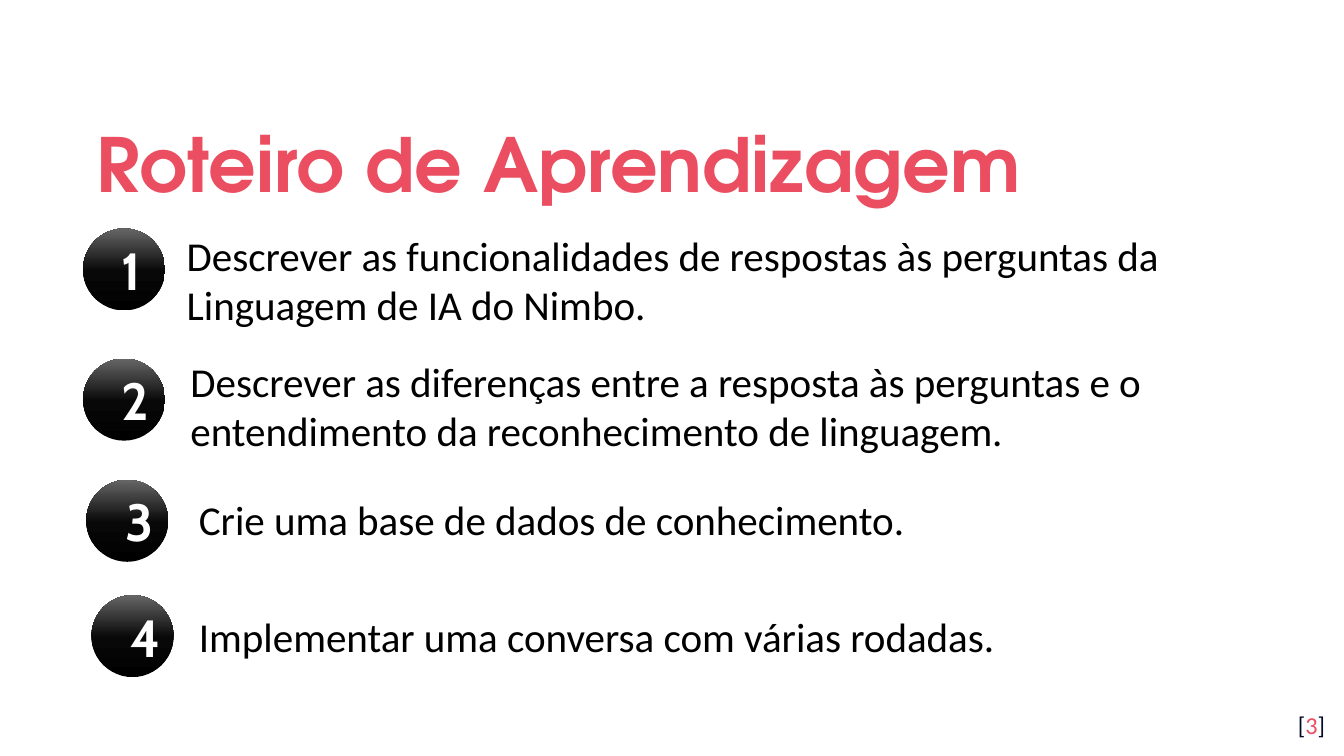
from copy import deepcopy

from pptx import Presentation
from pptx.dml.color import RGBColor
from pptx.enum.shapes import MSO_SHAPE
from pptx.enum.text import MSO_ANCHOR, PP_ALIGN
from pptx.util import Cm, Pt

INK, CORAL, NAVY, WHITE = "000000", "EA4E60", "040A24", "FFFFFF"
BADGE_STOPS = [(0, INK), (0.48, "080808"), (1, "666666")]
BADGE_SIZE = 1.55

# badge left, badge top, text left, text top, text width, text height, text
GOALS = [
    (1.57, 4.32, 3.28, 4.22, 19.86, 2.13,
     "Descrever as funcionalidades de respostas às perguntas da Linguagem de IA do Nimbo."),
    (1.57, 6.78, 3.35, 6.6, 20.12, 2.13,
     "Descrever as diferenças entre a resposta às perguntas e o entendimento da "
     "reconhecimento de linguagem."),
    (1.63, 9.07, 3.51, 9.22, 19.38, 1.19, "Crie uma base de dados de conhecimento."),
    (1.73, 11.25, 3.51, 11.43, 19.38, 1.19, "Implementar uma conversa com várias rodadas."),
]


def color(hex_value):
    return RGBColor.from_string(hex_value)


def add_run(paragraph, text, font="Calibri", size=22, fill=INK, bold=False):
    run = paragraph.add_run()
    run.text = text
    run.font.name = font
    run.font.size = Pt(size)
    run.font.bold = bold
    run.font.color.rgb = color(fill)


def set_frame(shape, anchor, horizontal, vertical):
    """Set wrapping, anchor and margins, and return the first paragraph."""
    frame = shape.text_frame
    frame.word_wrap = True
    frame.vertical_anchor = anchor
    frame.margin_left = frame.margin_right = Cm(horizontal)
    frame.margin_top = frame.margin_bottom = Cm(vertical)
    return frame.paragraphs[0]


class SlideBuilder:
    def __init__(self, slide):
        self.slide = slide

    def text(self, left, top, width, height, runs, anchor=MSO_ANCHOR.TOP,
             align=PP_ALIGN.LEFT, spacing=None, vertical=0.25):
        """Add a text box; runs is a list of (text, format) pairs."""
        shape = self.slide.shapes.add_textbox(Cm(left), Cm(top), Cm(width), Cm(height))
        paragraph = set_frame(shape, anchor, 0.25, vertical)
        paragraph.alignment = align
        paragraph.line_spacing = spacing
        for text, style in runs:
            add_run(paragraph, text, **style)

    def badge(self, left, top, number):
        shape = self.slide.shapes.add_shape(
            MSO_SHAPE.OVAL, Cm(left), Cm(top), Cm(BADGE_SIZE), Cm(BADGE_SIZE))
        shape.shadow.inherit = False
        shape.line.fill.background()
        shape.fill.gradient()
        shape.fill.gradient_angle = 90
        last_stop = shape._element.spPr.xpath("a:gradFill/a:gsLst/a:gs")[-1]
        last_stop.addnext(deepcopy(last_stop))
        for stop, (position, hex_value) in zip(shape.fill.gradient_stops, BADGE_STOPS):
            stop.position = position
            stop.color.rgb = color(hex_value)
        paragraph = set_frame(shape, MSO_ANCHOR.MIDDLE, 0.51, 0.41)
        paragraph.alignment = PP_ALIGN.CENTER
        add_run(paragraph, str(number), font="Cabin", size=28, fill=WHITE, bold=True)


def main():
    presentation = Presentation()
    presentation.slide_width = Cm(25.4)
    presentation.slide_height = Cm(14.29)
    builder = SlideBuilder(presentation.slides.add_slide(presentation.slide_layouts[6]))

    title_style = dict(font="TeX Gyre Adventor", size=40, fill=CORAL, bold=True)
    builder.text(1.57, 1.78, 22.28, 2.34, [("Roteiro de Aprendizagem", title_style)],
                 anchor=MSO_ANCHOR.MIDDLE, spacing=1.15)

    page_number = [(text, dict(size=13, fill=fill))
                   for text, fill in (("[", NAVY), ("3", CORAL), ("]", NAVY))]
    builder.text(23.77, 13.18, 1.52, 1.09, page_number, align=PP_ALIGN.RIGHT)

    for number, (badge_left, badge_top, *box, goal) in enumerate(GOALS, start=1):
        builder.badge(badge_left, badge_top, number)
        builder.text(*box, [(goal, {})], vertical=0.13)

    presentation.save("out.pptx")


if __name__ == "__main__":
    main()
